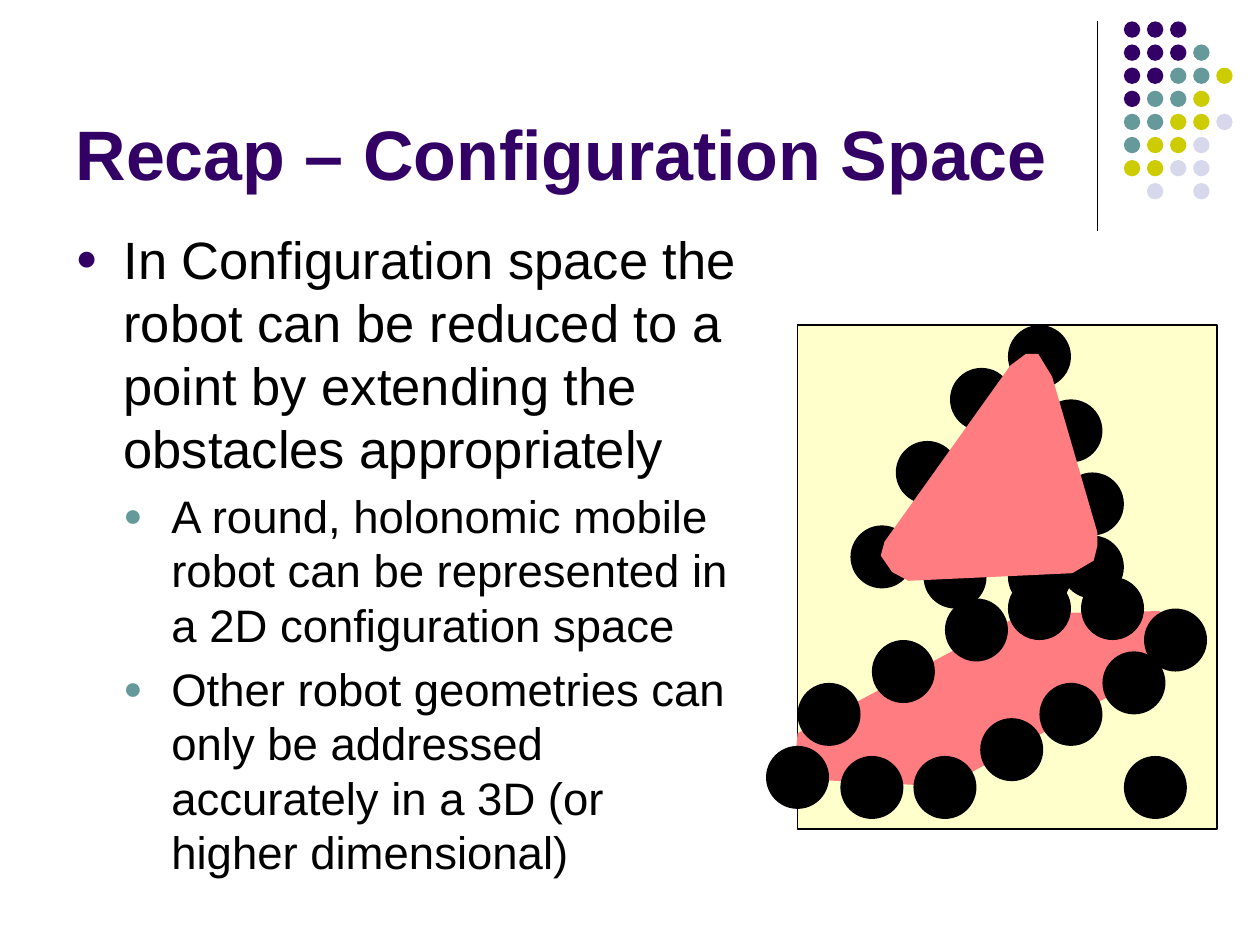
from dataclasses import dataclass

import pptx
import pptx.dml.color
import pptx.enum.shapes
import pptx.enum.text
import pptx.oxml
import pptx.oxml.ns
import pptx.util
from pptx.util import Inches


@dataclass(frozen=True)
class Theme:
    font: str = "Arial"
    title_size: float = 40
    body_sizes: tuple = (30, 26)
    purple: str = "330066"
    teal: str = "669999"
    olive: str = "CCCC00"
    lilac: str = "D8D8EC"
    black: str = "000000"
    floor: str = "FFFFCC"
    obstacle: str = "FF7C80"


THEME = Theme()

BULLETS = [
    (0, "In Configuration space the robot can be reduced to a point by "
        "extending the obstacles appropriately"),
    (1, "A round, holonomic mobile robot can be represented in a 2D "
        "configuration space"),
    (1, "Other robot geometries can only be addressed accurately in a 3D "
        "(or higher dimensional)"),
]

# One letter per dot: purple, teal, olive, lilac; a dot sign leaves a gap.
DOT_ROWS = ["PPP", "PPPT", "PPTTO", "PTTO", "TTOOL", "TOOL", "OOLL", ".L.L"]
DOT_COLORS = {"P": THEME.purple, "T": THEME.teal,
              "O": THEME.olive, "L": THEME.lilac}
DOT_PITCH = 1.1 / 6
DOT_SIZE = 0.13

ROBOT_SIZE = 0.5
ROBOTS = [
    (8.92, 6), (9.08, 4.83), (8.75, 5.17), (8.25, 5.42), (7.78, 5.7),
    (7.25, 6), (6.67, 6), (6.08, 5.92), (6.33, 5.42), (6.92, 5.08),
    (7.5, 4.75), (8, 4.58), (8.58, 4.58), (6.75, 4.17), (7.33, 4.33),
    (8, 4.33), (8.42, 4.25), (8.42, 3.75), (8.25, 3.17), (8, 2.58),
    (7.54, 2.92), (7.11, 3.5),
]
LOWER_OBSTACLE = [
    (9.33, 5.03), (9.12, 5.35), (7.62, 6.18), (7.47, 6.24), (6.3, 6.18),
    (6.33, 5.82), (8.12, 4.87), (9.2, 4.85), (9.3, 4.91),
]
UPPER_OBSTACLE = [
    (8.24, 2.81), (8.35, 2.99), (8.71, 4.23), (8.71, 4.33), (8.68, 4.45),
    (8.51, 4.55), (7.21, 4.61), (7.08, 4.54), (6.99, 4.41), (7.02, 4.3),
    (8.02, 2.9), (8.14, 2.81),
]


def rgb(color):
    return pptx.dml.color.RGBColor.from_string(color)


def place(shape, x, y, w, h):
    shape.left, shape.top = Inches(x), Inches(y)
    shape.width, shape.height = Inches(w), Inches(h)


def paint(shape, fill, line=None):
    shape.shadow.inherit = False
    shape.fill.solid()
    shape.fill.fore_color.rgb = rgb(fill)
    if line:
        shape.line.color.rgb = rgb(line)
        shape.line.width = pptx.util.Pt(0.75)
    else:
        shape.line.fill.background()


def add_run(p, text, size, color, bold=False):
    r = p.add_run()
    r.text = text
    r.font.name = THEME.font
    r.font.size = pptx.util.Pt(size)
    r.font.bold = bold
    r.font.color.rgb = rgb(color)


def set_bullet(p, color, indent):
    """Give the paragraph a round bullet that hangs 0.38 inch."""
    pPr = p._p.get_or_add_pPr()
    pPr.set("marL", str(Inches(indent)))
    pPr.set("indent", str(-Inches(0.38)))
    ns = pptx.oxml.ns.nsdecls("a")
    for xml in (f'<a:buClr {ns}><a:srgbClr val="{color}"/></a:buClr>',
                f'<a:buSzPct {ns} val="70000"/>',
                f'<a:buFont {ns} typeface="{THEME.font}"/>',
                f'<a:buChar {ns} char="●"/>'):
        pPr.append(pptx.oxml.parse_xml(xml))


def fill_title(title):
    place(title, 0.5, 0.17, 8.25, 1.42)
    tf = title.text_frame
    tf.auto_size = pptx.enum.text.MSO_AUTO_SIZE.NONE
    tf.vertical_anchor = pptx.enum.text.MSO_ANCHOR.BOTTOM
    p = tf.paragraphs[0]
    p.alignment = pptx.enum.text.PP_ALIGN.LEFT
    add_run(p, "Recap – Configuration Space", THEME.title_size,
            THEME.purple, bold=True)


def fill_body(body):
    place(body, 0.5, 1.75, 5.5, 4.95)
    tf = body.text_frame
    tf.auto_size = pptx.enum.text.MSO_AUTO_SIZE.NONE
    for i, (level, text) in enumerate(BULLETS):
        p = tf.add_paragraph() if i else tf.paragraphs[0]
        size = THEME.body_sizes[level]
        p.level = level
        p.space_before = pptx.util.Pt(0.2 * size)
        set_bullet(p, (THEME.purple, THEME.teal)[level], 0.38 * (level + 1))
        add_run(p, text, size, THEME.black)


def add_circle(s, x, y, size, color):
    oval = pptx.enum.shapes.MSO_SHAPE.OVAL
    sp = s.shapes.add_shape(oval, Inches(x), Inches(y),
                            Inches(size), Inches(size))
    paint(sp, color)


def add_rule(s):
    line = s.shapes.add_connector(
        pptx.enum.shapes.MSO_CONNECTOR.STRAIGHT,
        Inches(8.71), Inches(0.17), Inches(8.71), Inches(1.83))
    line.line.color.rgb = rgb(THEME.black)
    line.line.width = pptx.util.Pt(0.75)
    line._element.spPr.append(pptx.oxml.parse_xml(
        f'<a:effectLst {pptx.oxml.ns.nsdecls("a")}/>'))


def add_dot_grid(s):
    for row, letters in enumerate(DOT_ROWS):
        for col, letter in enumerate(letters):
            if letter in DOT_COLORS:
                add_circle(s, 8.92 + col * DOT_PITCH, 0.17 + row * DOT_PITCH,
                           DOT_SIZE, DOT_COLORS[letter])


def add_floor(s):
    sp = s.shapes.add_shape(pptx.enum.shapes.MSO_SHAPE.RECTANGLE,
                            Inches(6.33), Inches(2.58),
                            Inches(3.33), Inches(4))
    paint(sp, THEME.floor, THEME.black)


def add_obstacle(s, points):
    start, *rest = [(Inches(x), Inches(y)) for x, y in points]
    builder = s.shapes.build_freeform(*start)
    builder.add_line_segments(rest, close=True)
    paint(builder.convert_to_shape(), THEME.obstacle)


def main():
    prs = pptx.Presentation()
    prs.slide_width, prs.slide_height = Inches(10), Inches(7.5)
    s = prs.slides.add_slide(prs.slide_layouts[1])
    fill_title(s.shapes.title)
    fill_body(s.placeholders[1])
    add_rule(s)
    add_dot_grid(s)
    add_floor(s)
    add_obstacle(s, LOWER_OBSTACLE)
    for x, y in ROBOTS:
        add_circle(s, x, y, ROBOT_SIZE, THEME.black)
    add_obstacle(s, UPPER_OBSTACLE)
    prs.save("out.pptx")


if __name__ == "__main__":
    main()
